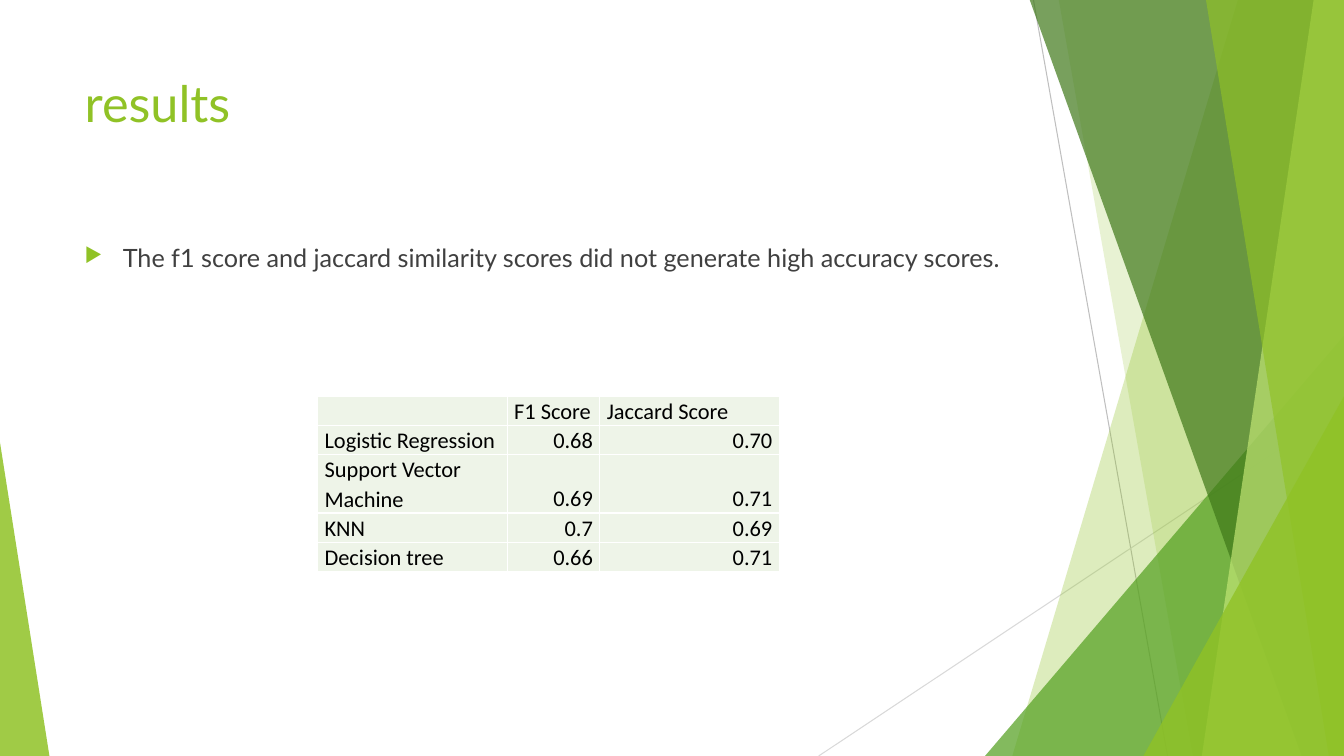
from dataclasses import dataclass

from lxml.etree import SubElement
from pptx import Presentation
from pptx.dml.color import RGBColor
from pptx.enum.shapes import MSO_CONNECTOR, MSO_SHAPE
from pptx.enum.text import MSO_ANCHOR, PP_ALIGN
from pptx.oxml.ns import qn
from pptx.util import Inches, Pt


@dataclass(frozen=True)
class Theme:
    lime: str = "90C226"
    green: str = "54A021"
    forest: str = "3F7819"
    pale_lime: str = "C0E474"
    body_text: str = "404040"
    table_text: str = "000000"
    table_fill: str = "EEF4E8"
    table_border: str = "FFFFFF"
    heading_font: str = "Lato"
    table_font: str = "Calibri"
    title_size: int = 36
    body_size: int = 18
    table_size: int = 16


@dataclass(frozen=True)
class Ray:
    start: tuple[float, float]
    end: tuple[float, float]
    color: str


@dataclass(frozen=True)
class Band:
    top_x: float
    bottom_x: float
    color: str
    opacity: int


@dataclass(frozen=True)
class Corner:
    left: float
    top: float
    width: float
    apex: float
    color: str
    opacity: int


THEME = Theme()
WIDTH, HEIGHT = 13.33, 7.5
BAND_TOP = -0.01
RAYS = [
    Ray((10.25, 0), (11.58, HEIGHT), "BFBFBF"),
    Ray((WIDTH, 4.03), (8.12, HEIGHT), "D9D9D9"),
]
DECORATIONS = [
    Band(12.28, 10.04, THEME.lime, 30),
    Band(10.5, 11.83, THEME.lime, 20),
    Corner(9.77, 3.33, 3.56, 1, THEME.green, 72),
    Band(10.21, 12.91, THEME.forest, 70),
    Band(13.03, 11.92, THEME.pale_lime, 70),
    Band(11.96, 13.18, THEME.lime, 65),
    Corner(11.34, 3.93, 1.99, 1, THEME.lime, 80),
    Corner(0, 4.39, 0.49, 0, THEME.lime, 85),
]
SCORES = [
    ("", "F1 Score", "Jaccard Score"),
    ("Logistic Regression", "0.68", "0.70"),
    ("Support Vector Machine", "0.69", "0.71"),
    ("KNN", "0.7", "0.69"),
    ("Decision tree", "0.66", "0.71"),
]
COLUMN_WIDTHS = [1.88, 0.92, 1.78]
ROW_HEIGHTS = [0.29, 0.29, 0.58, 0.29, 0.29]


def style_font(para, name: str, size: int, color: str) -> None:
    para.font.name = name
    para.font.size = Pt(size)
    para.font.color.rgb = RGBColor.from_string(color)


def draw_ray(page, ray: Ray) -> None:
    line = page.shapes.add_connector(
        MSO_CONNECTOR.STRAIGHT, *map(Inches, ray.start + ray.end))
    line.line.color.rgb = RGBColor.from_string(ray.color)
    line.line.width = Pt(0.75)
    SubElement(line._element.spPr, qn("a:effectLst"))


def draw_decoration(page, item: Band | Corner) -> None:
    if isinstance(item, Band):
        builder = page.shapes.build_freeform(
            Inches(item.top_x), Inches(BAND_TOP), scale=1.0)
        corners = [(WIDTH, BAND_TOP), (WIDTH, HEIGHT), (item.bottom_x, HEIGHT)]
        builder.add_line_segments([(Inches(x), Inches(y)) for x, y in corners])
        shape = builder.convert_to_shape()
    else:
        shape = page.shapes.add_shape(
            MSO_SHAPE.ISOSCELES_TRIANGLE, Inches(item.left), Inches(item.top),
            Inches(item.width), Inches(HEIGHT - item.top))
        shape.adjustments[0] = item.apex
    shape.shadow.inherit = False
    shape.line.fill.background()
    shape.fill.solid()
    shape.fill.fore_color.rgb = RGBColor.from_string(item.color)
    color = shape._element.spPr.find(qn("a:solidFill")).find(qn("a:srgbClr"))
    SubElement(color, qn("a:alpha"), val=str(item.opacity * 1000))


def write_title(page) -> None:
    title = page.shapes.title
    title.left, title.top = Inches(0.74), Inches(0.67)
    title.width, title.height = Inches(9.4), Inches(1.44)
    title.text_frame.vertical_anchor = MSO_ANCHOR.TOP
    para = title.text_frame.paragraphs[0]
    para.text = "results"
    para.alignment = PP_ALIGN.LEFT
    style_font(para, THEME.heading_font, THEME.title_size, THEME.lime)


def write_finding(page) -> None:
    box = page.shapes.add_textbox(
        Inches(0.74), Inches(2.36), Inches(9.4), Inches(4.24))
    box.text_frame.word_wrap = True
    para = box.text_frame.paragraphs[0]
    para.text = ("The f1 score and jaccard similarity scores "
                 "did not generate high accuracy scores.")
    para.space_before = Pt(10)
    properties = para._p.get_or_add_pPr()
    properties.set("marL", str(Inches(0.38)))
    properties.set("indent", str(-Inches(0.38)))
    bullet_color = SubElement(properties, qn("a:buClr"))
    SubElement(bullet_color, qn("a:srgbClr"), val=THEME.lime)
    SubElement(properties, qn("a:buSzPct"), val="80000")
    SubElement(properties, qn("a:buChar"), char="▶")
    style_font(para, THEME.heading_font, THEME.body_size, THEME.body_text)


def format_cell(cell, text: str, alignment: PP_ALIGN) -> None:
    cell.margin_left = cell.margin_right = Inches(0.07)
    cell.margin_top = cell.margin_bottom = 0
    cell.vertical_anchor = MSO_ANCHOR.BOTTOM
    properties = cell._tc.get_or_add_tcPr()
    for side in ("a:lnL", "a:lnR", "a:lnT", "a:lnB"):
        border = SubElement(properties, qn(side), w=str(Pt(1)))
        fill = SubElement(border, qn("a:solidFill"))
        SubElement(fill, qn("a:srgbClr"), val=THEME.table_border)
    cell.fill.solid()
    cell.fill.fore_color.rgb = RGBColor.from_string(THEME.table_fill)
    para = cell.text_frame.paragraphs[0]
    para.text = text
    para.alignment = alignment
    para.line_spacing = 1.07
    style_font(para, THEME.table_font, THEME.table_size, THEME.table_text)


def draw_scores(page) -> None:
    table = page.shapes.add_table(
        len(SCORES), len(COLUMN_WIDTHS), Inches(3.15), Inches(3.93),
        Inches(sum(COLUMN_WIDTHS)), Inches(sum(ROW_HEIGHTS))).table
    table.first_row = table.horz_banding = False
    for column, width in zip(table.columns, COLUMN_WIDTHS):
        column.width = Inches(width)
    for row, height in zip(table.rows, ROW_HEIGHTS):
        row.height = Inches(height)
    for row_index, values in enumerate(SCORES):
        for column_index, text in enumerate(values):
            is_score = row_index > 0 and column_index > 0
            format_cell(table.cell(row_index, column_index), text,
                        PP_ALIGN.RIGHT if is_score else PP_ALIGN.LEFT)


def main() -> None:
    deck = Presentation()
    deck.slide_width, deck.slide_height = Inches(WIDTH), Inches(HEIGHT)
    page = deck.slides.add_slide(deck.slide_layouts[5])
    for ray in RAYS:
        draw_ray(page, ray)
    for item in DECORATIONS:
        draw_decoration(page, item)
    write_title(page)
    write_finding(page)
    draw_scores(page)
    deck.save("out.pptx")


if __name__ == "__main__":
    main()
